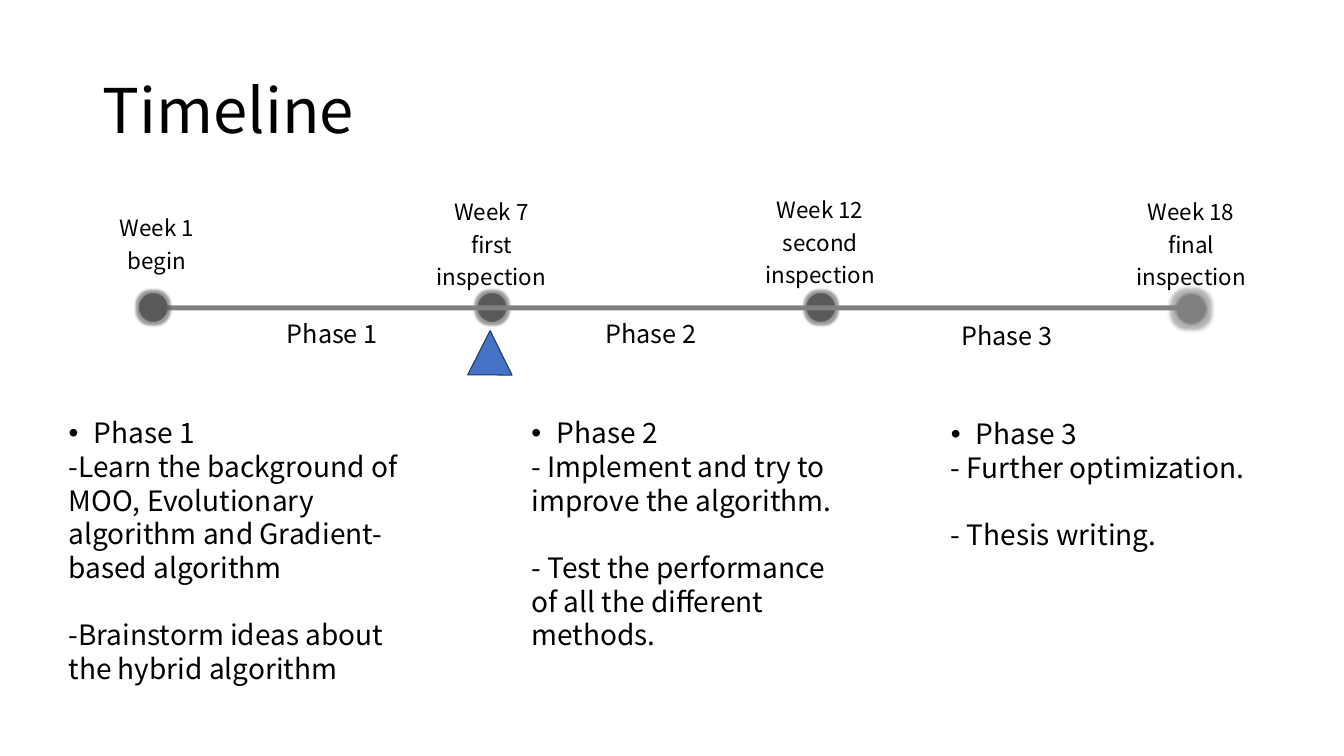
import lxml.etree
import pptx
import pptx.dml.color
import pptx.enum.shapes
import pptx.enum.text
import pptx.oxml.ns
import pptx.util

Inches = pptx.util.Inches
Pt = pptx.util.Pt
Shape = pptx.enum.shapes.MSO_SHAPE
Align = pptx.enum.text.PP_ALIGN
Anchor = pptx.enum.text.MSO_ANCHOR
AutoSize = pptx.enum.text.MSO_AUTO_SIZE


def colour(value):
    return pptx.dml.color.RGBColor.from_string(value)


def add_tag(parent, tag, **attributes):
    return lxml.etree.SubElement(parent, pptx.oxml.ns.qn(tag), attributes)


def apply(target, values):
    for name, value in values.items():
        setattr(target, name, value)


class TimelinePage:
    font = "Noto Sans CJK SC"
    ink = "000000"

    def __init__(self, deck, layout):
        self.page = deck.slides.add_slide(deck.slide_layouts[layout])
        self.holders = {item.placeholder_format.idx: item for item in self.page.placeholders}

    def place(self, box, left, top, width, height):
        apply(box, {"left": Inches(left), "top": Inches(top),
                    "width": Inches(width), "height": Inches(height)})

    def add_text(self, para, text, size, **layout):
        apply(para, layout)
        span = para.add_run()
        span.text = text
        apply(span.font, {"name": self.font, "size": Pt(size), "bold": False})
        span.font.color.rgb = colour(self.ink)

    def fill_box(self, box, lines, size, frame_format, **layout):
        frame = box.text_frame
        apply(frame, {"word_wrap": True, **frame_format})
        for number, text in enumerate(lines):
            para = frame.add_paragraph() if number else frame.paragraphs[0]
            self.add_text(para, text, size, **layout)

    def title(self, text, *area):
        box = self.holders[0]
        self.place(box, *area)
        self.fill_box(box, [text], 44, {"vertical_anchor": Anchor.MIDDLE},
                      alignment=Align.LEFT, line_spacing=0.9)

    def label(self, lines, size, area, frame_format, **layout):
        box = self.page.shapes.add_textbox(*map(Inches, area))
        self.fill_box(box, lines, size, frame_format, alignment=Align.CENTER, **layout)

    def phase_list(self, index, heading, tasks, *area):
        box = self.holders[index]
        self.place(box, *area)
        frame = box.text_frame
        apply(frame, {"word_wrap": True, "vertical_anchor": Anchor.TOP,
                      "auto_size": AutoSize.SHAPE_TO_FIT_TEXT})
        para = frame.paragraphs[0]
        self.add_text(para, heading, 20, line_spacing=0.9, space_before=Pt(10))
        self.bullet(para, 0.25, "•")
        for number, task in enumerate(tasks):
            para = frame.add_paragraph()
            self.add_text(para, task, 20, line_spacing=1.0, space_before=Pt(24 * number))
            self.bullet(para, 0)

    def bullet(self, para, indent, mark=None):
        settings = para._p.get_or_add_pPr()
        settings.set("marL", str(Inches(indent)))
        settings.set("indent", str(-Inches(indent)))
        if mark:
            add_tag(settings, "a:buFont", typeface="Arial")
            add_tag(settings, "a:buChar", char=mark)
        else:
            add_tag(settings, "a:buNone")

    def shape(self, kind, area, fill, line=None, line_width=0, glow=0):
        shape = self.page.shapes.add_shape(kind, *map(Inches, area))
        shape.shadow.inherit = False
        shape.fill.solid()
        shape.fill.fore_color.rgb = colour(fill)
        if line:
            shape.line.color.rgb = colour(line)
            shape.line.width = Pt(line_width)
        else:
            shape.line.fill.background()
        if glow:
            effects = shape._element.spPr.find(pptx.oxml.ns.qn("a:effectLst"))
            halo = add_tag(effects, "a:glow", rad=str(Inches(glow)))
            shade = add_tag(halo, "a:srgbClr", val=fill)
            add_tag(shade, "a:alpha", val="60000")
        return shape

    def dot(self, left, line_width=0):
        self.shape(Shape.OVAL, (left, 2.91, 0.28, 0.28), "595959", "656565", line_width, 0.05)


def main():
    deck = pptx.Presentation()
    apply(deck, {"slide_width": Inches(13.33), "slide_height": Inches(7.5)})
    timeline = TimelinePage(deck, 4)
    timeline.title("Timeline", 0.92, 0.4, 11.5, 1.45)

    milestones = [
        (["Week 1", "begin"], 0.84, 1.87, 1.43),
        (["Week 7", "first inspection"], 4.16, 1.87, 1.43),
        (["Week 12", "second inspection"], 7.2, 1.85, 1.87),
        (["Week 18", "final inspection"], 11.1, 1.87, 1.43),
    ]
    for lines, left, top, width in milestones:
        timeline.label(lines, 16, (left, top, width, 1.05),
                       {"vertical_anchor": Anchor.MIDDLE}, line_spacing=1.2)

    for left in (4.74, 8):
        timeline.dot(left)
    timeline.shape(Shape.OVAL, (11.66, 2.91, 0.31, 0.31), "808080", "999999", 1.25, 0.08)
    timeline.shape(Shape.RECTANGLE, (1.5, 3.03, 10.32, 0.05), "808080")
    timeline.dot(1.38, 0.75)
    marker = timeline.shape(Shape.ISOSCELES_TRIANGLE, (4.64, 3.28, 0.44, 0.44), "4472C4", "203864")
    marker.rotation = 0.3

    phases = [
        ("Phase 1", (1.97, 3.14), (0.58, 4.11, 3.69, 2.73), [
            "-Learn the background of MOO, Evolutionary algorithm and Gradient-based algorithm",
            "-Brainstorm ideas about the hybrid algorithm"]),
        ("Phase 2", (5.13, 3.14), (5.17, 4.11, 3.42, 2.4), [
            "- Implement and try to improve the algorithm.",
            "- Test the performance of all the different methods."]),
        ("Phase 3", (8.66, 3.16), (9.33, 4.12, 3.88, 1.73), [
            "- Further optimization.",
            "- Thesis writing."]),
    ]
    for index, (name, corner, area, tasks) in enumerate(phases, 1):
        timeline.label([name], 18, (*corner, 2.65, 0.37),
                       {"auto_size": AutoSize.SHAPE_TO_FIT_TEXT},
                       line_spacing=0.9, space_before=Pt(10))
        timeline.phase_list(index, name, tasks, *area)

    for index, holder in timeline.holders.items():
        if index > len(phases):
            holder._element.getparent().remove(holder._element)
    deck.save("out.pptx")


if __name__ == "__main__":
    main()
